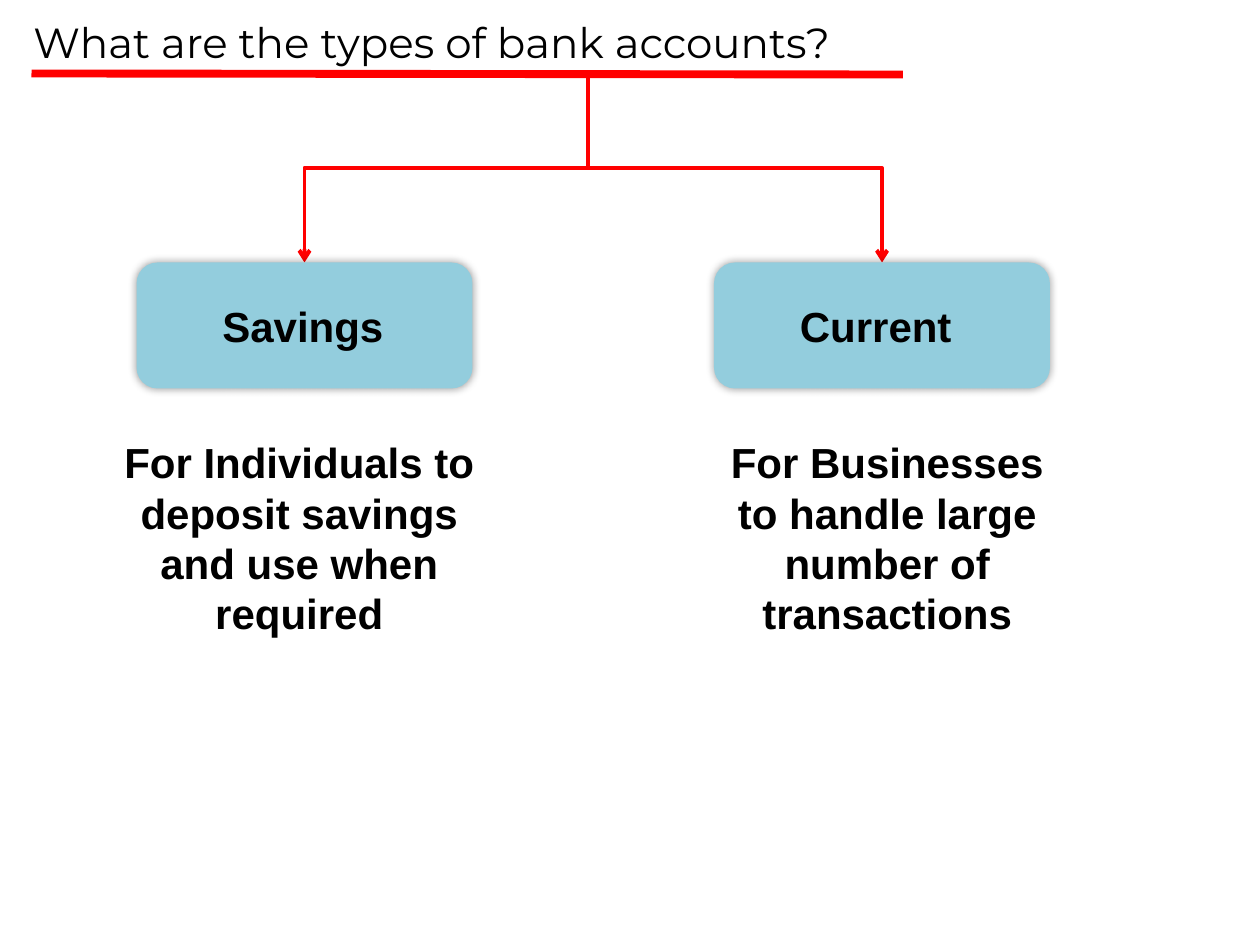
from dataclasses import dataclass

from lxml import etree
from pptx import Presentation
from pptx.dml.color import RGBColor
from pptx.enum.shapes import MSO_CONNECTOR, MSO_SHAPE
from pptx.enum.text import MSO_AUTO_SIZE, PP_ALIGN
from pptx.oxml.ns import qn
from pptx.util import Inches, Pt

STRAIGHT, ELBOW = MSO_CONNECTOR.STRAIGHT, MSO_CONNECTOR.ELBOW
ROUNDED = MSO_SHAPE.ROUNDED_RECTANGLE
GROW = MSO_AUTO_SIZE.SHAPE_TO_FIT_TEXT
LEFT, CENTER = PP_ALIGN.LEFT, PP_ALIGN.CENTER


@dataclass
class Theme:
    ink: RGBColor = RGBColor(0x00, 0x00, 0x00)
    accent: RGBColor = RGBColor(0xFF, 0x00, 0x00)
    card: RGBColor = RGBColor(0x93, 0xCD, 0xDD)
    title_font: str = "Montserrat"
    body_font: str = "Arial"
    size: int = 24
    rule: float = 4.5
    branch: float = 2.25


theme = Theme()
deck = Presentation()
deck.slide_width, deck.slide_height = Inches(10), Inches(7.5)
slide = deck.slides.add_slide(deck.slide_layouts[6])
CELL = deck.slide_width / 120


def add_text(shapes, text, *, cells, font=theme.body_font, bold=True, align=LEFT):
    box = shapes.add_textbox(*(round(n * CELL) for n in cells))
    frame = box.text_frame
    frame.word_wrap = True
    frame.auto_size = GROW
    paragraph = frame.paragraphs[0]
    paragraph.alignment = align
    run = paragraph.add_run()
    run.text = text
    run.font.name = font
    run.font.size = Pt(theme.size)
    run.font.bold = bold
    run.font.color.rgb = theme.ink


def add_line(kind, cells, weight):
    line = slide.shapes.add_connector(kind, *(round(n * CELL) for n in cells))
    line.line.color.rgb = theme.accent
    line.line.width = Pt(weight)
    properties = line._element.spPr
    etree.SubElement(properties, qn("a:effectLst"))
    return properties


add_text(slide.shapes, "What are the types of bank accounts?",
         cells=(2, 1, 108, 6), font=theme.title_font, bold=False)
add_line(STRAIGHT, (3, 7, 86, 7.1), theme.rule)

trunk, branch_top, card_top = 56, 7, 25
card_width, card_height = 32, 12
accounts = [
    ("Savings", 13, "For Individuals to deposit savings and use when required", 10),
    ("Current", 68, "For Businesses to handle large number of transactions", 66),
]

for account, card_left, purpose, purpose_left in accounts:
    target = card_left + card_width / 2
    middle_x, middle_y = (trunk + target) / 2, (branch_top + card_top) / 2
    half_drop, half_span = (card_top - branch_top) / 2, abs(target - trunk) / 2
    side = 1 if target < trunk else -1
    branch = add_line(ELBOW, (middle_x - side * half_drop, middle_y - half_span,
                              middle_x + side * half_drop, middle_y + half_span),
                      theme.branch)
    quarter_turns = 1 if side > 0 else 3
    branch.find(qn("a:xfrm")).set("rot", str(quarter_turns * 90 * 60000))
    etree.SubElement(branch.find(qn("a:ln")), qn("a:tailEnd"), type="arrow")

    group = slide.shapes.add_group_shape()
    card = group.shapes.add_shape(
        ROUNDED, *(round(n * CELL) for n in (card_left, card_top, card_width, card_height)))
    card.fill.solid()
    card.fill.fore_color.rgb = theme.card
    card.line.fill.background()
    card.shadow.inherit = False
    effects = card._element.spPr.find(qn("a:effectLst"))
    glow = etree.SubElement(effects, qn("a:outerShdw"), blurRad=str(Pt(5)),
                            dist="0", dir="0", algn="ctr", rotWithShape="0")
    shade = etree.SubElement(glow, qn("a:srgbClr"), val=str(theme.ink))
    etree.SubElement(shade, qn("a:alpha"), val="40000")
    add_text(group.shapes, account, cells=(card_left + 7, card_top + 3, 19, 6))

for account, card_left, purpose, purpose_left in accounts:
    add_text(slide.shapes, purpose, cells=(purpose_left, 41, 37, 20.6), align=CENTER)

deck.save("out.pptx")
